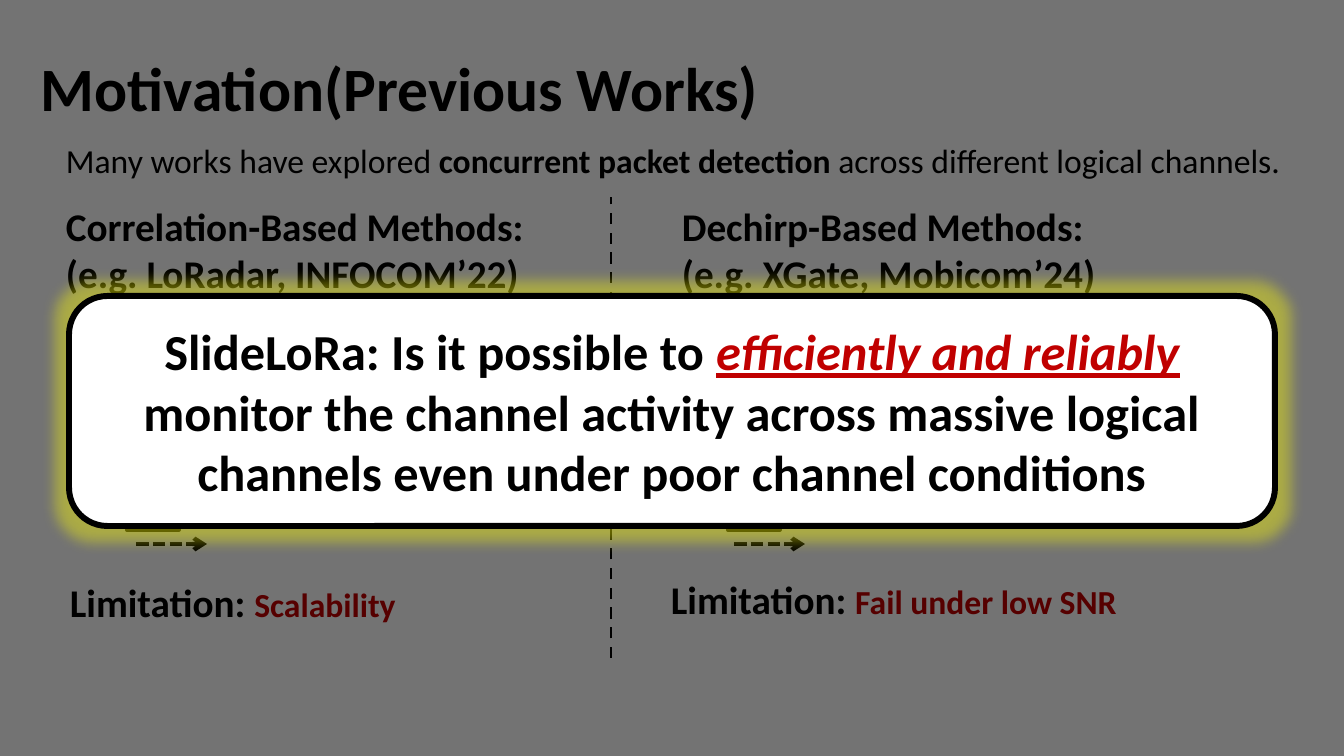
import pptx
import pptx.dml.color
import pptx.enum.dml
import pptx.enum.shapes
import pptx.enum.text
import pptx.oxml.ns
import pptx.util
from lxml import etree

SLIDE_WIDTH, SLIDE_HEIGHT = 1344, 756
EMU_PER_PX = 12192000 / SLIDE_WIDTH
BLACK, RED, WHITE, YELLOW = "000000", "C00000", "FFFFFF", "FFFF00"
DASH = pptx.enum.dml.MSO_LINE.DASH
SHORT_DASH = pptx.enum.dml.MSO_LINE.SQUARE_DOT
RECTANGLE = pptx.enum.shapes.MSO_SHAPE.RECTANGLE
ROUNDED = pptx.enum.shapes.MSO_SHAPE.ROUNDED_RECTANGLE
MIDDLE = pptx.enum.text.MSO_ANCHOR.MIDDLE


def px(length):
    return pptx.util.Emu(round(length * EMU_PER_PX))


def color(hex_code):
    return pptx.dml.color.RGBColor.from_string(hex_code)


def add_xml(parent, tag, **attributes):
    return etree.SubElement(parent, pptx.oxml.ns.qn(tag), **attributes)


def add_run(paragraph, text, size, hex_code=BLACK, bold=True, emphasis=False):
    run = paragraph.add_run()
    run.text = text
    font = run.font
    font.name, font.size, font.bold = "Calibri", pptx.util.Pt(size), bold
    font.italic = font.underline = emphasis
    font.color.rgb = color(hex_code)


def fill_text(frame, paragraphs):
    """Each paragraph is a list of runs, each run the arguments of add_run."""
    frame.word_wrap = True
    for index, runs in enumerate(paragraphs):
        paragraph = frame.add_paragraph() if index else frame.paragraphs[0]
        for run in runs:
            add_run(paragraph, *run)


def add_text(slide, left, top, width, height, paragraphs):
    box = slide.shapes.add_textbox(px(left), px(top), px(width), px(height))
    fill_text(box.text_frame, paragraphs)
    return box.text_frame


def add_box(slide, kind, left, top, width, height, fill=None, line_width=None):
    shape = slide.shapes.add_shape(kind, px(left), px(top), px(width), px(height))
    shape.shadow.inherit = False
    if fill:
        shape.fill.solid()
        shape.fill.fore_color.rgb = color(fill)
    else:
        shape.fill.background()
    if line_width:
        shape.line.color.rgb = color(BLACK)
        shape.line.width = pptx.util.Pt(line_width)
    else:
        shape.line.fill.background()
    return shape


def add_line(slide, x1, y1, x2, y2, width, dash=None, arrow=False):
    line = slide.shapes.add_connector(
        pptx.enum.shapes.MSO_CONNECTOR.STRAIGHT, px(x1), px(y1), px(x2), px(y2))
    line.line.color.rgb = color(BLACK)
    line.line.width = pptx.util.Pt(width)
    if dash:
        line.line.dash_style = dash
    if arrow:
        add_xml(line.line._get_or_add_ln(), "a:tailEnd", type="arrow")
    add_xml(line._element.spPr, "a:effectLst")


def add_chirp(slide, left, rising, arrow_left):
    """A symbol window with its chirp, above a time arrow."""
    top, width, height = 459, 52, 71
    start, end = (top + height, top) if rising else (top, top + height)
    add_line(slide, left, start, left + width, end, 3)
    add_box(slide, RECTANGLE, left, top, width, height, line_width=2.5)
    add_line(slide, arrow_left, 544, arrow_left + 71, 544, 3, SHORT_DASH, arrow=True)


def add_overlay(slide):
    overlay = add_box(slide, RECTANGLE, 0, 0, SLIDE_WIDTH, SLIDE_HEIGHT, BLACK)
    solid = overlay._element.spPr.find(pptx.oxml.ns.qn("a:solidFill"))
    add_xml(solid[0], "a:alpha", val="55000")


def add_callout(slide):
    callout = add_box(slide, ROUNDED, 69, 296, 1206, 230, WHITE, 4.25)
    effects = callout._element.spPr.find(pptx.oxml.ns.qn("a:effectLst"))
    glow = add_xml(effects, "a:glow", rad=str(px(25)))
    add_xml(add_xml(glow, "a:srgbClr", val=YELLOW), "a:alpha", val="40000")
    frame = callout.text_frame
    fill_text(frame, [[
        ("SlideLoRa: Is it possible to ", 36),
        ("efficiently and reliably ", 36, RED, True, True),
        ("monitor the channel activity across massive logical channels "
         "even under poor channel conditions", 36),
    ]])
    frame.vertical_anchor = MIDDLE
    frame.paragraphs[0].alignment = pptx.enum.text.PP_ALIGN.CENTER


def main():
    presentation = pptx.Presentation()
    presentation.slide_width = px(SLIDE_WIDTH)
    presentation.slide_height = px(SLIDE_HEIGHT)
    slide = presentation.slides.add_slide(presentation.slide_layouts[6])

    # Title and introduction
    title = add_text(slide, 31, 19, 1159, 146, [[("Motivation(Previous Works)", 44)]])
    title.vertical_anchor = MIDDLE
    title.paragraphs[0].line_spacing = 0.9
    add_text(slide, 56, 135, 1246, 50, [[
        ("Many works have explored ", 24, BLACK, False),
        ("concurrent packet detection", 24),
        (" across different logical channels.", 24, BLACK, False),
    ]])

    # Two families of methods
    add_line(slide, 611, 658, 611, 197, 2, DASH)
    methods = [
        (56, "Correlation-Based Methods:", "(e.g. LoRadar, INFOCOM’22)"),
        (672, "Dechirp-Based Methods:", "(e.g. XGate, Mobicom’24)"),
    ]
    for left, name, example in methods:
        add_text(slide, left, 197, 599, 105, [[(name, 28)], [(example, 28)]])
    add_chirp(slide, 127, True, 136)
    add_chirp(slide, 728, False, 734)

    # Limitations
    limitations = [(60, 573, 399, "Scalability"), (661, 570, 517, "Fail under low SNR")]
    for left, top, width, limitation in limitations:
        add_text(slide, left, top, width, 57,
                 [[("Limitation: ", 28), (limitation, 24, RED)]])

    # Dimmed background and research question
    add_overlay(slide)
    add_callout(slide)

    presentation.save("out.pptx")


if __name__ == "__main__":
    main()
